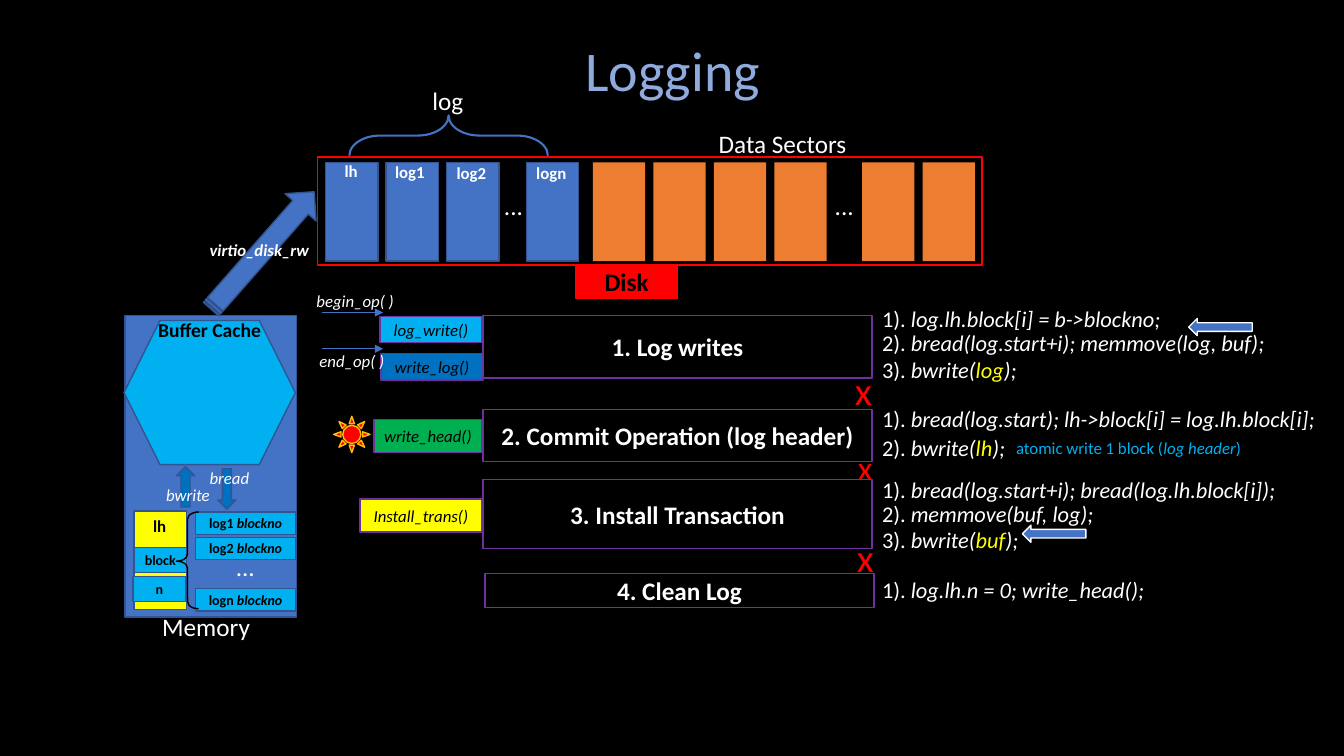
from lxml import etree
from pptx import Presentation
from pptx.dml.color import RGBColor
from pptx.enum.shapes import MSO_CONNECTOR, MSO_SHAPE as SHAPE
from pptx.enum.text import MSO_ANCHOR, PP_ALIGN as ALIGN
from pptx.oxml.ns import qn
from pptx.util import Inches, Pt

WHITE, BLACK, RED, YELLOW = "FFFFFF", "000000", "FF0000", "FFFF00"
BLUE, NAVY, SKY, SEA = "4472C4", "325491", "00B0F0", "0070C0"
ORANGE, PURPLE, GREEN, GOLD = "ED7D31", "7030A0", "00B050", "FFC000"
SECTOR_TOP, SECTOR_WIDTH, SECTOR_HEIGHT, SECTOR_PITCH = 1.61, 0.52, 0.98, 0.6


def rgb(color):
    """Turn a hex string into a colour."""
    return RGBColor.from_string(color)


def write(paragraph, text, size=18, color=WHITE, bold=False, italic=False):
    """Add a formatted run to a paragraph."""
    run = paragraph.add_run()
    run.text = text
    font = run.font
    font.name, font.size, font.bold, font.italic = "Calibri", Pt(size), bold, italic
    font.color.rgb = rgb(color)


def add_label(slide, left, top, width, text="", size=18, align=ALIGN.LEFT, **style):
    """Add a one-line text box and return its paragraph."""
    height = size * 1.2 / 72 + 0.1
    box = slide.shapes.add_textbox(Inches(left), Inches(top), Inches(width), Inches(height))
    box.text_frame.word_wrap = False
    paragraph = box.text_frame.paragraphs[0]
    paragraph.alignment = align
    if text:
        write(paragraph, text, size, **style)
    return paragraph


def add_figure(slide, kind, left, top, width, height, fill=None, line=None, weight=1,
               rotation=0, adjustments=()):
    """Add a preset shape with a flat fill and outline."""
    shape = slide.shapes.add_shape(kind, Inches(left), Inches(top), Inches(width), Inches(height))
    shape.shadow.inherit = False
    shape.rotation = rotation
    for index, value in enumerate(adjustments):
        shape.adjustments[index] = value
    if fill:
        shape.fill.solid()
        shape.fill.fore_color.rgb = rgb(fill)
    else:
        shape.fill.background()
    if line:
        shape.line.color.rgb = rgb(line)
        shape.line.width = Pt(weight)
    else:
        shape.line.fill.background()
    return shape


def add_box(slide, left, top, width, height, fill, line, text, **style):
    """Add a rectangle with centred text and return its paragraph."""
    shape = add_figure(slide, SHAPE.RECTANGLE, left, top, width, height, fill, line)
    frame = shape.text_frame
    frame.margin_left = frame.margin_right = 0
    frame.word_wrap = True
    frame.vertical_anchor = MSO_ANCHOR.MIDDLE
    paragraph = frame.paragraphs[0]
    paragraph.alignment = ALIGN.CENTER
    write(paragraph, text, **style)
    return paragraph


def add_arrow(slide, left, right, y):
    """Add a horizontal line with an arrowhead at its right end."""
    connector = slide.shapes.add_connector(
        MSO_CONNECTOR.STRAIGHT, Inches(left), Inches(y), Inches(right), Inches(y))
    connector.line.color.rgb = rgb(BLUE)
    connector.line.width = Pt(1)
    etree.SubElement(connector.line._get_or_add_ln(), qn("a:tailEnd"), type="triangle")
    etree.SubElement(connector._element.spPr, qn("a:effectLst"))


def add_step(slide, top, width, number, code, target=None):
    """Add a numbered line of code, with an optional highlighted call target."""
    paragraph = add_label(slide, 8.65, top, width, size=16)
    write(paragraph, f"{number}). ", 16)
    write(paragraph, code, 16, italic=True)
    if target:
        write(paragraph, target, 16, YELLOW, italic=True)
        write(paragraph, ");", 16, italic=True)


def add_disk(slide):
    """Draw the disk with its log and data sectors."""
    add_figure(slide, SHAPE.RECTANGLE, 3.15, 1.56, 6.59, 1.07, line=RED)
    add_label(slide, 7.03, 1.22, 1.48, "Data Sectors")
    log_lefts = [3.23 + SECTOR_PITCH * i for i in range(3)] + [5.22]
    data_lefts = [5.88 + SECTOR_PITCH * i for i in range(4)] + [8.55, 9.15]
    for lefts, fill, line in ((log_lefts, BLUE, NAVY), (data_lefts, ORANGE, None)):
        for left in lefts:
            add_figure(slide, SHAPE.RECTANGLE, left, SECTOR_TOP, SECTOR_WIDTH, SECTOR_HEIGHT,
                       fill, line)
    for left, top, width, name in ((3.32, 1.55, 0.34, "lh"), (3.82, 1.56, 0.5, "log1"),
                                   (4.43, 1.57, 0.5, "log2"), (5.22, 1.57, 0.51, "logn")):
        add_label(slide, left, top, width, name, 12, bold=True)
    for left in (4.9, 8.18):
        add_label(slide, left, 1.84, 0.39, "...")
    add_figure(slide, SHAPE.RIGHT_BRACE, 4.25, 0.36, 0.4, 1.97, line=BLUE, weight=1.5,
               rotation=270, adjustments=(0.763, 0.5))
    add_label(slide, 4.19, 0.8, 0.51, "log")
    add_box(slide, 5.71, 2.63, 1.01, 0.33, RED, RED, "Disk", color=BLACK, bold=True)


def add_memory(slide):
    """Draw the memory with the buffer cache and the log header."""
    add_figure(slide, SHAPE.RECTANGLE, 1.24, 3.13, 1.7, 2.99, BLUE, NAVY)
    add_label(slide, 1.51, 6.02, 1.08, "Memory")
    add_figure(slide, SHAPE.HEXAGON, 1.23, 3.18, 1.7, 1.43, SKY, NAVY)
    add_label(slide, 1.47, 3.1, 1.23, "Buffer Cache", 14, color=BLACK, bold=True)
    add_figure(slide, SHAPE.RECTANGLE, 1.33, 5.07, 0.52, 0.98, YELLOW, NAVY)
    add_label(slide, 1.42, 5.07, 0.34, "lh", 12, color=BLACK, bold=True)
    for left, top, name in ((1.33, 5.43, "block"), (1.32, 5.72, "n")):
        add_box(slide, left, top, 0.52, 0.25, SKY, NAVY, name, size=10, color=BLACK, bold=True)
    for top, name in ((5.08, "log1 "), (5.33, "log2 "), (5.84, "logn ")):
        paragraph = add_box(slide, 1.94, top, 0.99, 0.22, SKY, NAVY, name,
                            size=10, color=BLACK, bold=True)
        write(paragraph, "blockno", 10, BLACK, bold=True, italic=True)
    add_figure(slide, SHAPE.LEFT_BRACE, 1.75, 5.08, 0.22, 0.96, line=BLACK,
               adjustments=(0.315, 0.508))
    add_label(slide, 2.24, 5.42, 0.39, "...")
    add_figure(slide, SHAPE.UP_ARROW, 1.75, 4.63, 0.18, 0.4, SEA, NAVY)
    add_figure(slide, SHAPE.UP_ARROW, 2.16, 4.65, 0.18, 0.4, SEA, NAVY, rotation=180)
    add_label(slide, 1.98, 4.59, 0.6, "bread", 12, italic=True)
    add_label(slide, 1.55, 4.76, 0.64, "bwrite", 12, italic=True)
    add_figure(slide, SHAPE.STRIPED_RIGHT_ARROW, 1.83, 2.28, 1.55, 0.41, BLUE, NAVY,
               rotation=311.3)
    add_label(slide, 1.98, 2.33, 1.21, "virtio_disk_rw", 12, bold=True, italic=True)


def add_phases(slide):
    """Draw the four logging phases, their functions and crash points."""
    for left, top, height, title in ((4.79, 3.13, 0.62, "1. Log writes"),
                                     (4.79, 4.06, 0.52, "2. Commit Operation (log header)"),
                                     (4.79, 4.76, 0.68, "3. Install Transaction"),
                                     (4.81, 5.69, 0.34, "4. Clean Log")):
        add_box(slide, left, top, 3.86, height, None, PURPLE, title, bold=True)
    for left, top, width, height, fill, name in (
            (3.77, 3.14, 1.01, 0.26, SKY, "log_write()"),
            (3.78, 3.51, 1.01, 0.26, SEA, "write_log()"),
            (3.71, 4.16, 1.07, 0.33, GREEN, "write_head()"),
            (3.57, 4.95, 1.21, 0.33, YELLOW, "Install_trans()")):
        add_box(slide, left, top, width, height, fill, PURPLE, name,
                size=12, color=BLACK, italic=True)
    for left, top, size in ((8.38, 3.58, 28), (8.41, 4.38, 24), (8.4, 5.24, 28)):
        add_label(slide, left, top, 0.37, "x", size, color=RED)
    add_figure(slide, SHAPE.SUN, 3.31, 4.13, 0.36, 0.36, RED, GOLD)
    for y in (3.1, 3.46):
        add_arrow(slide, 3.19, 3.8, y)
    add_label(slide, 3.04, 2.84, 0.98, "begin_op( )", 12, italic=True)
    add_label(slide, 3.07, 3.43, 0.86, "end_op( )", 12, italic=True)


def add_steps(slide):
    """Write the code steps beside the phases."""
    add_step(slide, 2.98, 2.99, 1, "log.lh.block[i] = b->blockno;")
    add_step(slide, 3.22, 4.04, 2, "bread(log.start+i); memmove(log, buf);")
    add_step(slide, 3.48, 1.55, 3, "bwrite(", "log")
    add_step(slide, 3.97, 4.54, 1, "bread(log.start); lh->block[i] = log.lh.block[i];")
    add_step(slide, 4.26, 1.44, 2, "bwrite(", "lh")
    add_step(slide, 4.67, 4.15, 1, "bread(log.start+i); bread(log.lh.block[i]);")
    add_step(slide, 4.91, 2.33, 2, "memmove(buf, log);")
    add_step(slide, 5.17, 1.57, 3, "bwrite(", "buf")
    add_step(slide, 5.67, 2.84, 1, "log.lh.n = 0; write_head();")
    for left, top in ((11.79, 3.16), (10.14, 5.21)):
        add_figure(slide, SHAPE.LEFT_ARROW, left, top, 0.63, 0.17, BLUE, WHITE)
    note = add_label(slide, 9.98, 4.29, 2.46, "atomic write 1 block (", 12, color=SKY)
    write(note, "log header", 12, SKY, italic=True)
    write(note, ")", 12, SKY)


def main():
    """Build the slide and save it."""
    presentation = Presentation()
    presentation.slide_width, presentation.slide_height = Inches(13.33), Inches(7.5)
    slide = presentation.slides.add_slide(presentation.slide_layouts[6])
    slide.background.fill.solid()
    slide.background.fill.fore_color.rgb = rgb(BLACK)
    add_label(slide, 2.05, 0.3, 9.24, "Logging", 40, ALIGN.CENTER, color="8FAADC")
    add_disk(slide)
    add_memory(slide)
    add_phases(slide)
    add_steps(slide)
    presentation.save("out.pptx")


if __name__ == "__main__":
    main()
